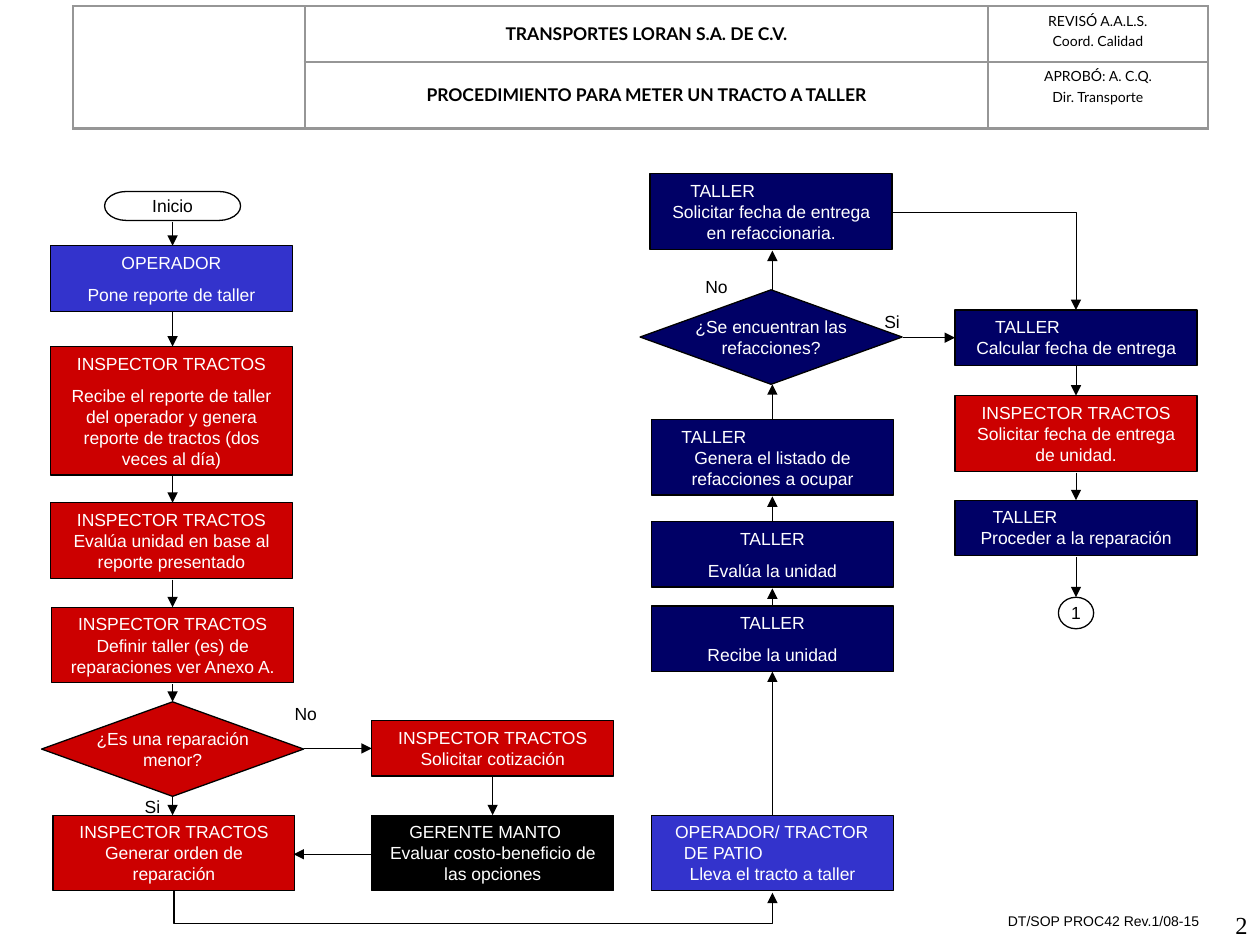
from lxml.etree import SubElement
from pptx import Presentation
from pptx.dml.color import RGBColor
from pptx.enum.shapes import MSO_CONNECTOR as Link, MSO_SHAPE as Shape
from pptx.enum.text import MSO_ANCHOR as Anchor, PP_ALIGN as Align
from pptx.oxml import parse_xml
from pptx.oxml.ns import nsdecls, qn
from pptx.util import Inches, Pt

BLUE, RED, NAVY, BLACK, WHITE, GRAY = "3333CC", "CC0000", "000066", "000000", "FFFFFF", "969696"
BOX_WIDTH = 1.92
INSPECTOR = "INSPECTOR TRACTOS"


def color(value):
    return RGBColor.from_string(value)


class Flowchart:
    """Draws the flowchart elements of one slide in a shared style."""

    def __init__(self, slide):
        self.slide = slide
        self.font = "Arial"
        self.size = 10

    def add_text(self, frame, paragraphs, ink=BLACK, align=Align.CENTER, before=0,
                 anchor=Anchor.TOP, size=None, font=None, bold=False):
        frame.vertical_anchor = anchor
        for index, text in enumerate(paragraphs):
            paragraph = frame.paragraphs[0] if index == 0 else frame.add_paragraph()
            paragraph.alignment = align
            paragraph.space_before = Pt(before)
            run = paragraph.add_run()
            run.text = text
            run.font.size = Pt(size or self.size)
            run.font.name = font or self.font
            run.font.bold = bold
            run.font.color.rgb = color(ink)

    def node(self, kind, left, top, width, height, paragraphs, fill=None, wrap=True, **style):
        shape = self.slide.shapes.add_shape(
            kind, Inches(left), Inches(top), Inches(width), Inches(height))
        shape.shadow.inherit = False
        if fill:
            shape.fill.solid()
            shape.fill.fore_color.rgb = color(fill)
        else:
            shape.fill.background()
        shape.line.color.rgb = color(BLACK)
        shape.line.width = Pt(0.75)
        shape.text_frame.word_wrap = wrap
        self.add_text(shape.text_frame, paragraphs, WHITE if fill else BLACK, **style)
        return shape

    def box(self, left, top, height, fill, paragraphs, before=6.2):
        return self.node(Shape.RECTANGLE, left, top, BOX_WIDTH, height, paragraphs,
                         fill, before=before)

    def offset_box(self, left, top, height, fill, role, task, margin, hanging=0):
        shape = self.box(left, top, height, fill, [role, task], before=0)
        heading = shape.text_frame.paragraphs[0]
        heading.alignment = Align.LEFT
        properties = heading._p.get_or_add_pPr()
        properties.set("marL", str(Inches(margin)))
        properties.set("indent", str(Inches(-hanging)))

    def decision(self, left, top, fill, paragraphs):
        self.node(Shape.DIAMOND, left, top, 2.08, 0.75, paragraphs, fill, wrap=False,
                  anchor=Anchor.MIDDLE)

    def label(self, left, top, width, height, text, align=Align.LEFT, **style):
        shape = self.slide.shapes.add_textbox(
            Inches(left), Inches(top), Inches(width), Inches(height))
        shape.text_frame.word_wrap = True
        self.add_text(shape.text_frame, [text], align=align, **style)

    def arrow(self, x1, y1, x2, y2, kind=Link.STRAIGHT, width=0.5):
        connector = self.slide.shapes.add_connector(
            kind, Inches(x1), Inches(y1), Inches(x2), Inches(y2))
        connector.line.color.rgb = color(BLACK)
        connector.line.width = Pt(width)
        SubElement(connector.line._get_or_add_ln(), qn("a:tailEnd"), type="triangle")
        SubElement(connector._element.spPr, qn("a:effectLst"))
        return connector

    def corner_arrow(self, x1, y1, x2, y2):
        connector = self.arrow(x1, y1, x2, y2, Link.ELBOW)
        connector._element.spPr.find(qn("a:prstGeom")).set("prst", "bentConnector2")

    def under_arrow(self, x1, x2, y, depth):
        middle, half, thin = (x1 + x2) / 2, (x2 - x1) / 2, 0.01
        connector = self.arrow(middle + thin / 2, y - half, middle - thin / 2, y + half,
                               Link.ELBOW, 0.75)
        properties = connector._element.spPr
        properties.find(qn("a:xfrm")).set("rot", "16200000")
        adjustments = properties.find(qn("a:prstGeom")).get_or_add_avLst()
        SubElement(adjustments, qn("a:gd"), name="adj1",
                   fmla=f"val {round(depth / thin * 100000)}")

    def header(self, left, top, columns, rows, texts):
        table = self.slide.shapes.add_table(
            len(rows), len(columns), Inches(left), Inches(top),
            Inches(sum(columns)), Inches(sum(rows))).table
        table.first_row = table.horz_banding = False
        for column, width in zip(table.columns, columns):
            column.width = Inches(width)
        for row, height in zip(table.rows, rows):
            row.height = Inches(height)
        for cell in table.iter_cells():
            self.border(cell)
        table.cell(0, 0).merge(table.cell(len(rows) - 1, 0))
        for index, (title, people) in enumerate(texts):
            for column, paragraphs, style in (
                    (1, [title], dict(before=2.5, anchor=Anchor.MIDDLE, bold=True)),
                    (2, people, dict(before=2, size=8))):
                cell = table.cell(index, column)
                self.add_text(cell.text_frame, paragraphs, font="Lato", **style)
                cell.vertical_anchor = style.get("anchor", Anchor.TOP)

    def border(self, cell):
        cell.fill.background()
        properties = cell._tc.get_or_add_tcPr()
        for index, side in enumerate("LRTB"):
            properties.insert(index, parse_xml(
                f'<a:ln{side} {nsdecls("a")} w="{Pt(1.47)}"><a:solidFill>'
                f'<a:srgbClr val="{GRAY}"/></a:solidFill></a:ln{side}>'))


def main():
    presentation = Presentation()
    presentation.slide_width, presentation.slide_height = Inches(10), Inches(7.5)
    chart = Flowchart(presentation.slides.add_slide(presentation.slide_layouts[6]))

    chart.header(0.58, 0.05, [1.84, 5.42, 1.75], [0.44, 0.53], [
        ("TRANSPORTES LORAN S.A. DE C.V.", ["REVISÓ A.A.L.S.", "Coord. Calidad"]),
        ("PROCEDIMIENTO PARA METER UN TRACTO A TALLER", ["APROBÓ: A. C.Q.", "Dir. Transporte"])])

    for left, top, height, fill, paragraphs in (
            (0.4, 1.95, 0.52, BLUE, ["OPERADOR", "Pone reporte de taller"]),
            (0.4, 2.75, 1.02, RED, [INSPECTOR, "Recibe el reporte de taller del operador y "
                                    "genera reporte de tractos (dos veces al día)"]),
            (0.4, 3.99, 0.6, RED, [f"{INSPECTOR} Evalúa unidad en base al reporte presentado"]),
            (0.41, 4.82, 0.6, RED,
             [f"{INSPECTOR} Definir taller (es) de reparaciones ver Anexo A."]),
            (0.42, 6.47, 0.6, RED, [f"{INSPECTOR} Generar orden de reparación"]),
            (2.95, 5.72, 0.44, RED, [f"{INSPECTOR} Solicitar cotización"]),
            (5.17, 4.14, 0.52, NAVY, ["TALLER", "Evalúa la unidad"]),
            (5.17, 4.81, 0.52, NAVY, ["TALLER", "Recibe la unidad"]),
            (7.58, 3.14, 0.6, RED, [f"{INSPECTOR} Solicitar fecha de entrega de unidad."])):
        chart.box(left, top, height, fill, paragraphs)

    for step in (
            (2.95, 6.47, 0.6, BLACK, "GERENTE MANTO",
             "Evaluar costo-beneficio de las opciones", 0.2),
            (5.17, 6.47, 0.6, BLUE, "OPERADOR/ TRACTOR DE PATIO",
             "Lleva el tracto a taller", 0.16, 0.07),
            (5.17, 3.33, 0.6, NAVY, "TALLER", "Genera el listado de refacciones a ocupar", 0.14),
            (5.16, 1.38, 0.6, NAVY, "TALLER", "Solicitar fecha de entrega en refaccionaria.", 0.22),
            (7.58, 2.46, 0.44, NAVY, "TALLER", "Calcular fecha de entrega", 0.22),
            (7.58, 3.97, 0.44, NAVY, "TALLER", "Proceder a la reparación", 0.2)):
        chart.offset_box(*step)

    chart.decision(0.33, 5.57, RED, ["¿Es una reparación", "menor?"])
    chart.decision(5.08, 2.3, NAVY, ["¿Se encuentran las", "refacciones?"])
    chart.node(Shape.FLOWCHART_TERMINATOR, 0.83, 1.52, 1.08, 0.23, ["Inicio"],
               anchor=Anchor.MIDDLE)
    chart.node(Shape.OVAL, 8.4, 4.74, 0.28, 0.25, ["1"], wrap=False, anchor=Anchor.MIDDLE)

    for left, top, text in ((5.5, 2.14, "No"), (6.92, 2.42, "Si"),
                            (1.05, 6.27, "Si"), (2.24, 5.53, "No")):
        chart.label(left, top, 0.5, 0.27, text)
    chart.label(7.9, 7.19, 2.08, 0.3, "DT/SOP PROC42 Rev.1/08-15", size=8)
    chart.label(7.92, 7.17, 2.08, 0.33, "2", Align.RIGHT, size=14, font="Times New Roman")

    for x, spans in (
            (1.37, [(1.76, 1.95), (2.48, 2.75), (3.78, 3.99), (4.6, 4.82), (5.43, 5.57),
                    (6.32, 6.47)]),
            (3.91, [(6.17, 6.47)]),
            (6.13, [(6.47, 5.33), (4.81, 4.67), (4.14, 3.94), (3.33, 3.05), (2.3, 1.99)]),
            (8.54, [(2.9, 3.14), (3.75, 3.97), (4.42, 4.74)])):
        for start, end in spans:
            chart.arrow(x, start, x, end)
    for start, end, y in ((2.95, 2.33, 6.78), (2.41, 2.95, 5.94), (7.17, 7.58, 2.68)):
        chart.arrow(start, y, end, y)
    chart.corner_arrow(7.08, 1.69, 8.54, 2.46)
    chart.under_arrow(1.38, 6.13, 7.08, 0.26)

    presentation.save("out.pptx")


if __name__ == "__main__":
    main()
